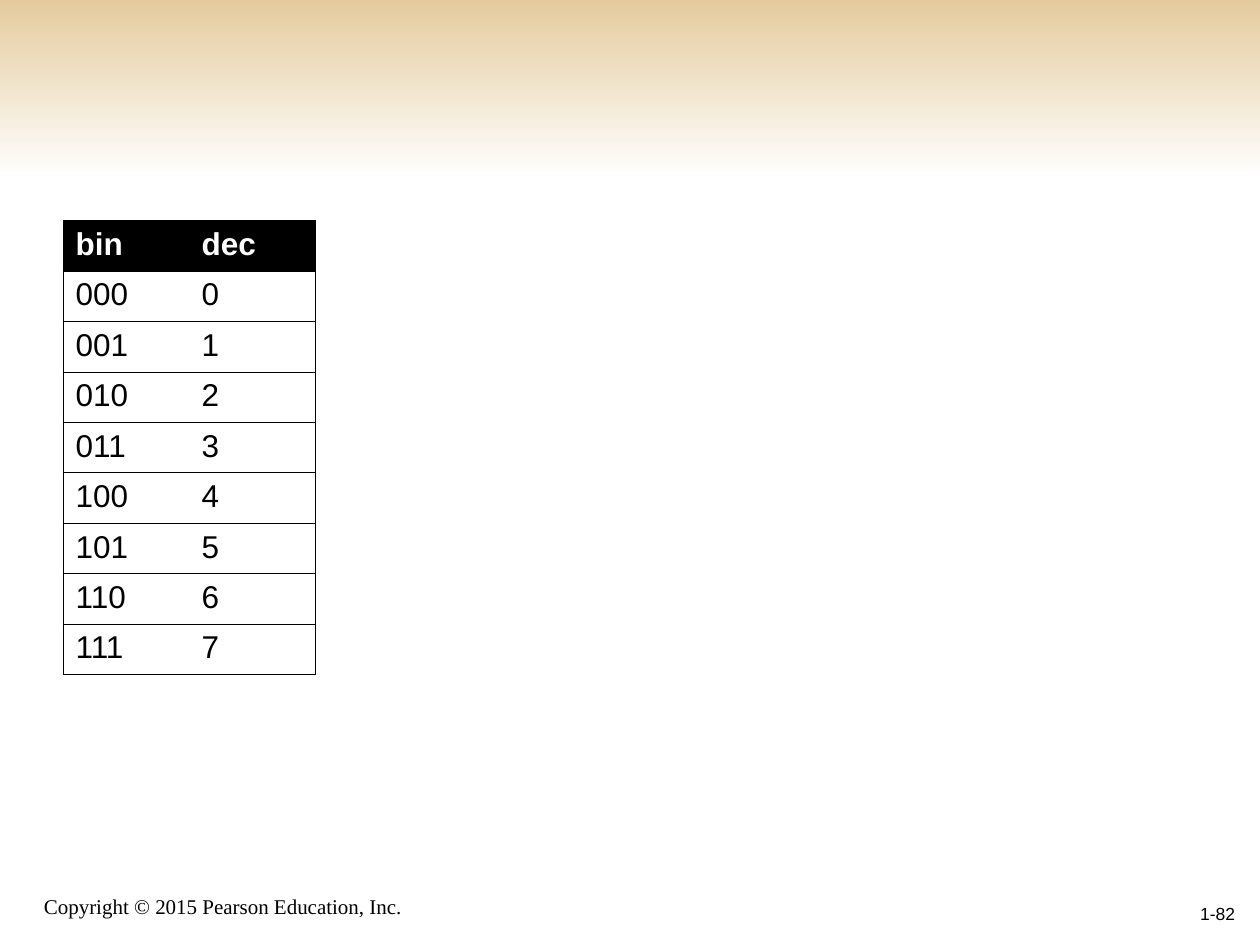
import pptx
import pptx.dml.color
import pptx.enum.shapes
import pptx.enum.text
import pptx.oxml
import pptx.oxml.ns
import pptx.util

ALIGN = pptx.enum.text.PP_ALIGN
ANCHOR = pptx.enum.text.MSO_ANCHOR
COLORS = {"sand": "E4CB9D", "white": "FFFFFF", "black": "000000"}
BITS = 3


def rgb(name):
    return pptx.dml.color.RGBColor.from_string(COLORS[name])


class SlideBuilder:
    """Holds the style and the slide; lengths are shares of the slide's size."""

    sans, serif = "Arial", "Times New Roman"
    rule_width = 0.34

    def __init__(self, deck):
        self.width, self.height = deck.slide_width, deck.slide_height
        self.slide = deck.slides.add_slide(deck.slide_layouts[6])

    def place(self, left, top, width, height):
        return (round(left * self.width), round(top * self.height),
                round(width * self.width), round(height * self.height))

    def add_words(self, paragraph, words, size, font, color="black", bold=False):
        run = paragraph.add_run()
        run.text = words
        run.font.size = pptx.util.Pt(size)
        run.font.name = font
        run.font.bold = bold
        run.font.color.rgb = rgb(color)

    def gradient_band(self, box, start, end):
        band = self.slide.shapes.add_shape(
            pptx.enum.shapes.MSO_SHAPE.RECTANGLE, *self.place(*box))
        band.shadow.inherit = False
        band.line.fill.background()
        band.fill.gradient()
        band.fill.gradient_angle = 270
        for stop, color, position in zip(band.fill.gradient_stops, (start, end), (0, 1)):
            stop.color.rgb = rgb(color)
            stop.position = position

    def text(self, box, words, size, font, align=ALIGN.LEFT, anchor=ANCHOR.MIDDLE):
        frame = self.slide.shapes.add_textbox(*self.place(*box)).text_frame
        frame.word_wrap = True
        frame.vertical_anchor = anchor
        frame.paragraphs[0].alignment = align
        self.add_words(frame.paragraphs[0], words, size, font)

    def cell_borders(self, cell, sides):
        """Rule the given sides (of L, R, T, B) and clear the others."""
        width = pptx.util.Pt(self.rule_width)
        for index, side in enumerate("LRTB"):
            paint = (f'<a:solidFill><a:srgbClr val="{COLORS["black"]}"/></a:solidFill>'
                     if side in sides else "<a:noFill/>")
            border = pptx.oxml.parse_xml(
                f'<a:ln{side} {pptx.oxml.ns.nsdecls("a")} w="{width}">{paint}</a:ln{side}>')
            cell._tc.get_or_add_tcPr().insert(index, border)

    def table(self, box, rows):
        table = self.slide.shapes.add_table(
            len(rows), len(rows[0]), *self.place(*box)).table
        table.first_row = table.horz_banding = False
        last = len(rows[0]) - 1
        for r, row in enumerate(rows):
            header = r == 0
            for c, words in enumerate(row):
                cell = table.cell(r, c)
                if header:
                    cell.fill.solid()
                    cell.fill.fore_color.rgb = rgb("black")
                else:
                    cell.fill.background()
                sides = "TB" + ("L" if c == 0 else "") + ("R" if c == last else "")
                self.cell_borders(cell, sides)
                self.add_words(cell.text_frame.paragraphs[0], words, 18, self.sans,
                               "white" if header else "black", header)


def main():
    deck = pptx.Presentation()
    deck.slide_width, deck.slide_height = pptx.util.Inches(10), pptx.util.Inches(7.5)
    builder = SlideBuilder(deck)
    builder.gradient_band((0, 0, 1, 0.19), "sand", "white")
    builder.text((0.025, 6.92 / 7.5, 0.61, 0.42 / 7.5),
                 "Copyright © 2015 Pearson Education, Inc.", 12, builder.serif,
                 anchor=ANCHOR.BOTTOM)
    numbers = [(f"{n:0{BITS}b}", str(n)) for n in range(2 ** BITS)]
    builder.table((0.05, 1.75 / 7.5, 0.2, 0.48), [("bin", "dec")] + numbers)
    builder.text((0.78, 7 / 7.5, 0.21, 0.5 / 7.5), "1-82", 10, builder.sans,
                 align=ALIGN.RIGHT)
    deck.save("out.pptx")


if __name__ == "__main__":
    main()
